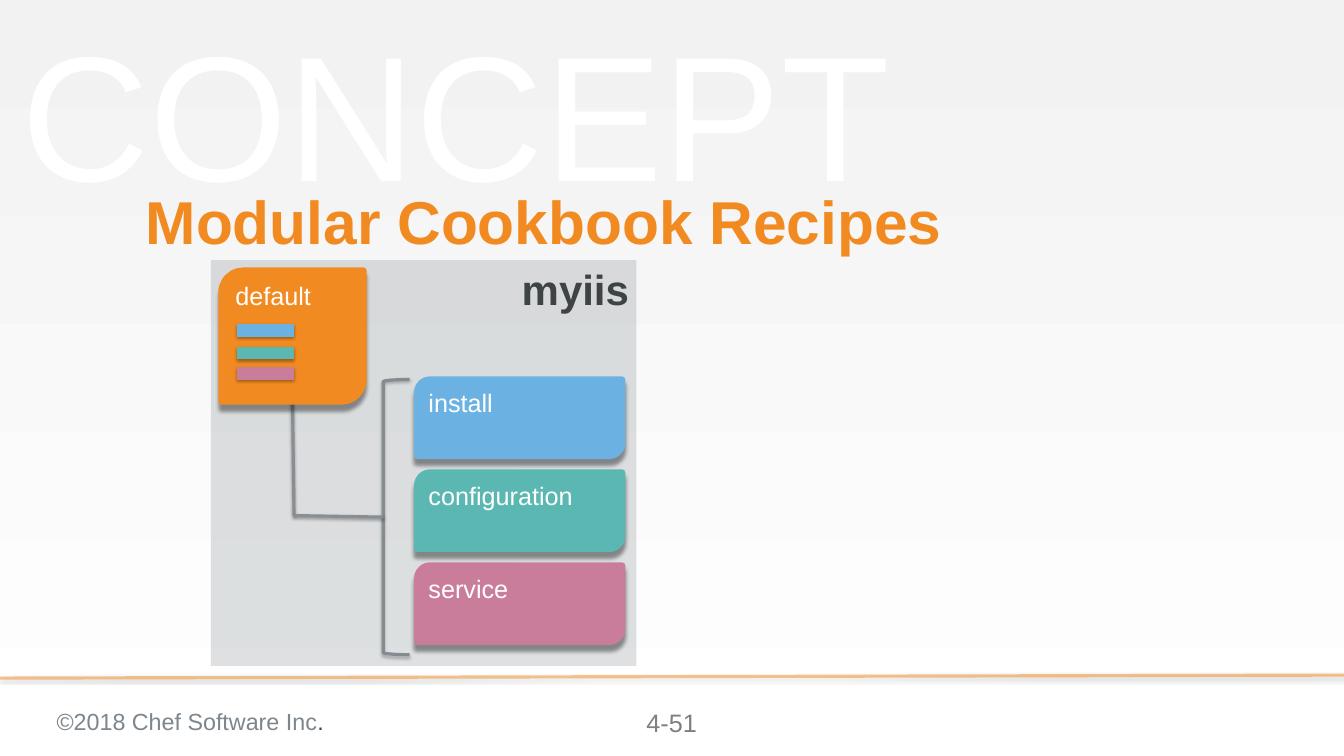
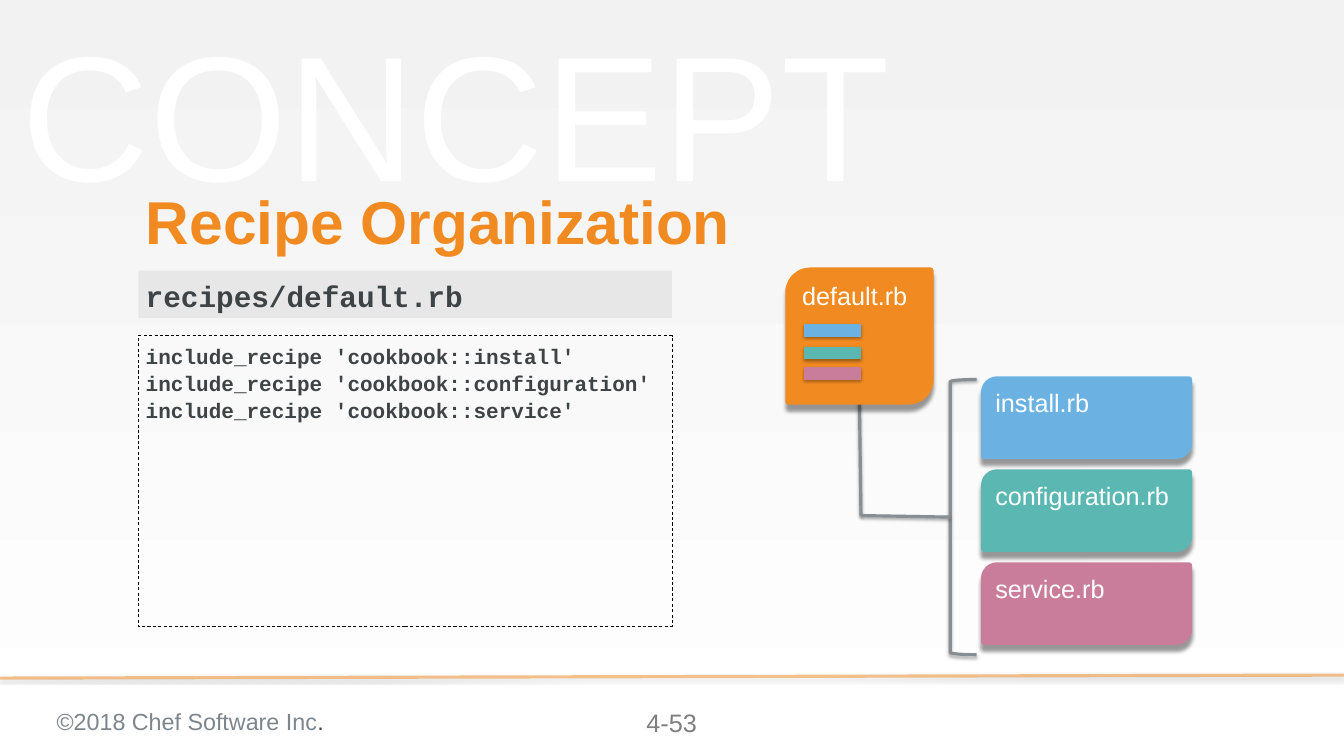
from lxml import etree
from pptx import Presentation
from pptx.dml.color import RGBColor
from pptx.enum.dml import MSO_LINE
from pptx.enum.shapes import MSO_CONNECTOR, MSO_SHAPE
from pptx.enum.text import MSO_ANCHOR, PP_ALIGN
from pptx.oxml import parse_xml
from pptx.oxml.ns import nsdecls, qn
from pptx.util import Pt

PX = 9144
STRAIGHT = MSO_CONNECTOR.STRAIGHT
RECT = MSO_SHAPE.RECTANGLE
CARD = MSO_SHAPE.ROUND_2_DIAG_RECTANGLE
BRACKET = MSO_SHAPE.LEFT_BRACKET
DASH = MSO_LINE.DASH
LEFT, CENTER, RIGHT = PP_ALIGN.LEFT, PP_ALIGN.CENTER, PP_ALIGN.RIGHT
TOP, MIDDLE = MSO_ANCHOR.TOP, MSO_ANCHOR.MIDDLE

COLORS = {
    "orange": "F18B21", "blue": "6BB2E2", "teal": "5AB7B2", "pink": "C97D9A",
    "ink": "3E4346", "slate": "7D868C", "wire": "878F94", "number": "7F7F7F",
    "mist": "F2F2F2", "silver": "D9D9D9", "white": "FFFFFF", "black": "000000",
}
RGB = {name: RGBColor.from_string(value) for name, value in COLORS.items()}
SOFT_SHADOW = (35, 3.1, 1.8)
CARD_SHADOW = (40, 4, 6)


def style(shape, fill=None, line=None, width=1, dash=None, alpha=None, shadow=None):
    if hasattr(shape, "fill"):
        if fill:
            shape.fill.solid()
            shape.fill.fore_color.rgb = RGB[fill]
        else:
            shape.fill.background()
    if line:
        shape.line.color.rgb = RGB[line]
        shape.line.width = Pt(width)
        if dash:
            shape.line.dash_style = dash
    else:
        shape.line.fill.background()
    properties = shape._element.spPr
    if alpha:
        for color in properties.iter(qn("a:srgbClr")):
            etree.SubElement(color, qn("a:alpha")).set("val", str(alpha * 1000))
    effects = parse_xml(f"<a:effectLst {nsdecls('a')}/>")
    if shadow:
        opacity, blur, distance = shadow
        effects.append(parse_xml(
            f'<a:outerShdw {nsdecls("a")} blurRad="{Pt(blur)}" dist="{Pt(distance)}" '
            f'dir="5400000" rotWithShape="0"><a:srgbClr val="{COLORS["black"]}">'
            f'<a:alpha val="{opacity * 1000}"/></a:srgbClr></a:outerShdw>'))
    properties.append(effects)
    return shape


def write(shape, text, size=24, color="white", font="Arial", bold=False, align=LEFT,
          anchor=TOP, inset_x=10, inset_y=10, line_spacing=None, space_after=0):
    frame = shape.text_frame
    frame.word_wrap = True
    frame.vertical_anchor = anchor
    frame.margin_left = frame.margin_right = inset_x * PX
    frame.margin_top = frame.margin_bottom = inset_y * PX
    frame.text = text
    for paragraph in frame.paragraphs:
        paragraph.alignment = align
        paragraph.space_after = Pt(space_after)
        if line_spacing:
            paragraph.line_spacing = line_spacing
        for run in paragraph.runs:
            run.font.name = font
            run.font.size = Pt(size)
            run.font.bold = bold
            run.font.color.rgb = RGB[color]
    return frame.paragraphs[0]


RECIPES = [("install", "blue", 437), ("configuration", "teal", 467), ("service", "pink", 494)]
PAGES = [
    {"title": "Modular Cookbook Recipes", "number": "4-51", "shift": 0, "suffix": ""},
    {"title": "Recipe Organization", "number": "4-53", "shift": 750, "suffix": ".rb"},
]

prs = Presentation()
prs.slide_width = 1778 * PX
prs.slide_height = 1000 * PX

for page in PAGES:
    slide = prs.slides.add_slide(prs.slide_layouts[6])
    shapes = slide.shapes
    shift, suffix = page["shift"], page["suffix"]

    backdrop = slide.background.fill
    backdrop.gradient()
    backdrop.gradient_angle = 270
    for stop, tint, position in zip(backdrop.gradient_stops, ("mist", "white"), (0, 1)):
        stop.color.rgb = RGB[tint]
        stop.position = position

    rule = shapes.add_connector(STRAIGHT, 1778 * PX, 893 * PX, 0, 897 * PX)
    style(rule, line="orange", width=3, alpha=50, shadow=SOFT_SHADOW)

    copyright_box = shapes.add_textbox(65 * PX, 925 * PX, 590 * PX, 52 * PX)
    copyright_line = write(copyright_box, "©2018 Chef Software Inc", size=22.2, color="slate")
    period = copyright_line.add_run()
    period.text = "."
    period.font.name = "Arial"
    period.font.size = Pt(22.2)
    period.font.color.rgb = RGB["ink"]

    page_number = shapes.add_textbox(810 * PX, 925 * PX, 157 * PX, 57 * PX)
    write(page_number, page["number"], color="number", align=CENTER)

    concept = shapes.add_textbox(15 * PX, 16 * PX, 1264 * PX, 260 * PX)
    concept_line = write(concept, "CONCEPT", size=169.3, color="mist", anchor=MIDDLE,
                         inset_x=13, inset_y=13)
    letters = concept_line.runs[0]._r.get_or_add_rPr()
    for tint in letters.iter(qn("a:srgbClr")):
        etree.SubElement(tint, qn("a:alpha")).set("val", "50000")
    letters.insert(0, parse_xml(
        f'<a:ln {nsdecls("a")} w="{Pt(1.45)}"><a:solidFill>'
        f'<a:srgbClr val="{COLORS["white"]}"/></a:solidFill></a:ln>'))

    title = shapes.add_textbox(183 * PX, 251 * PX, 1347 * PX, 93 * PX)
    write(title, page["title"], size=57.6, color="orange", bold=True, anchor=MIDDLE,
          line_spacing=0.9)

    bracket = shapes.add_shape(BRACKET, (507 + shift) * PX, 502 * PX, 35 * PX, 364 * PX)
    style(bracket, line="wire", width=3, shadow=SOFT_SHADOW)

    if page["number"] == "4-51":
        cookbook = shapes.add_shape(RECT, 279 * PX, 344 * PX, 563 * PX, 537 * PX)
        style(cookbook, fill="slate", alpha=25)
        write(cookbook, "myiis", size=40, color="ink", bold=True, align=RIGHT, inset_y=5)
    else:
        file_name = shapes.add_shape(RECT, 183 * PX, 358 * PX, 706 * PX, 63 * PX)
        style(file_name, fill="silver", alpha=50)
        write(file_name, "recipes/default.rb", size=28, color="ink", font="Courier New",
              bold=True)
        code = shapes.add_shape(RECT, 183 * PX, 444 * PX, 706 * PX, 385 * PX)
        style(code, line="black", width=0.75, dash=DASH)
        includes = "\n".join(f"include_recipe 'cookbook::{name}'" for name, _, _ in RECIPES)
        write(code, includes, size=20, color="ink", font="Courier New", bold=True,
              space_after=1.7)

    for row, (name, color, _) in enumerate(RECIPES):
        recipe = shapes.add_shape(CARD, (552 + shift) * PX, (502 + 123 * row) * PX,
                                  271 * PX, 101 * PX)
        style(recipe, fill=color, line=color, width=6, shadow=CARD_SHADOW)
        write(recipe, name + suffix, inset_y=5)

    stem = shapes.add_connector(STRAIGHT, (387 + shift) * PX, 531 * PX,
                                (389 + shift) * PX, 682 * PX)
    branch = shapes.add_connector(STRAIGHT, (389 + shift) * PX, 682 * PX,
                                  (507 + shift) * PX, 684 * PX)
    branch.end_connect(bracket, 1)
    for wire in (stem, branch):
        style(wire, line="wire", width=3, shadow=SOFT_SHADOW)

    default_recipe = shapes.add_shape(CARD, (293 + shift) * PX, 358 * PX, 188 * PX, 173 * PX)
    style(default_recipe, fill="orange", line="orange", width=6, shadow=CARD_SHADOW)
    write(default_recipe, "default" + suffix, inset_y=5)

    for _, color, y in RECIPES:
        include_bar = shapes.add_connector(STRAIGHT, (313 + shift) * PX, y * PX,
                                           (389 + shift) * PX, y * PX)
        style(include_bar, line=color, width=12, shadow=SOFT_SHADOW)

prs.save("out.pptx")
